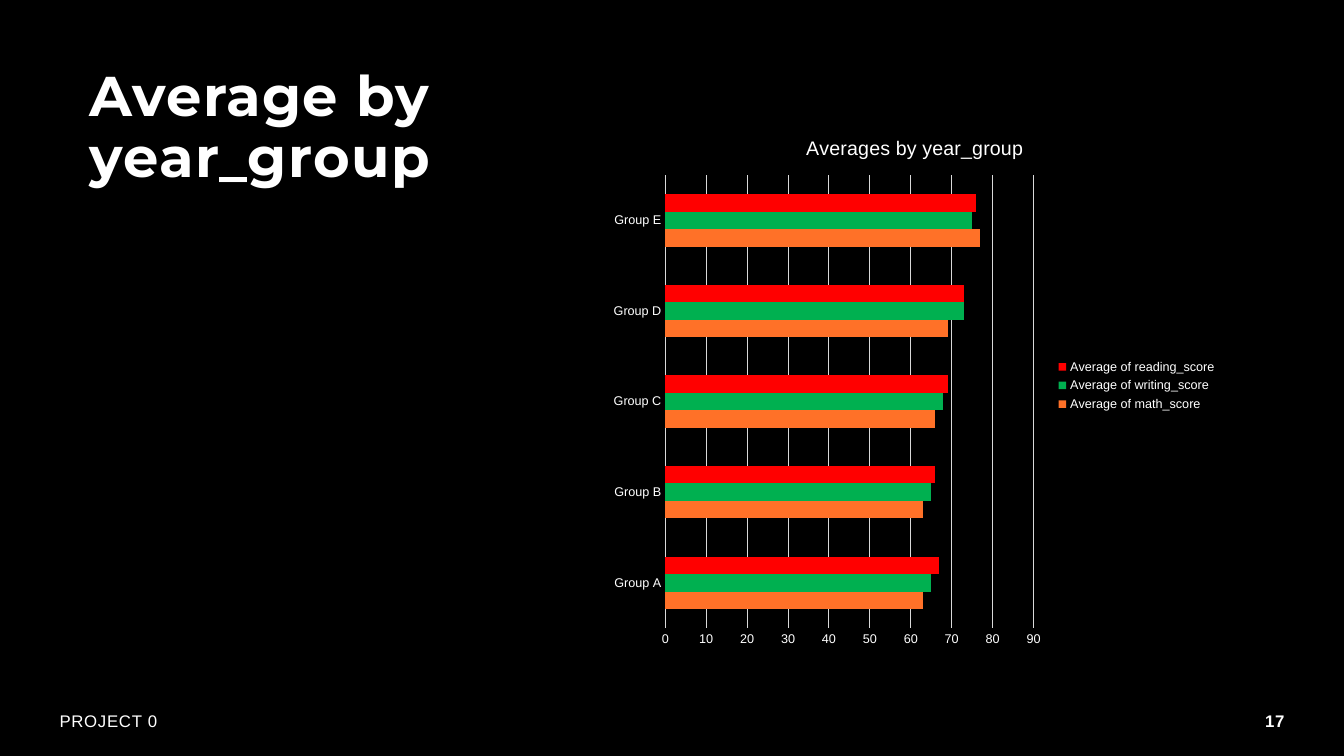
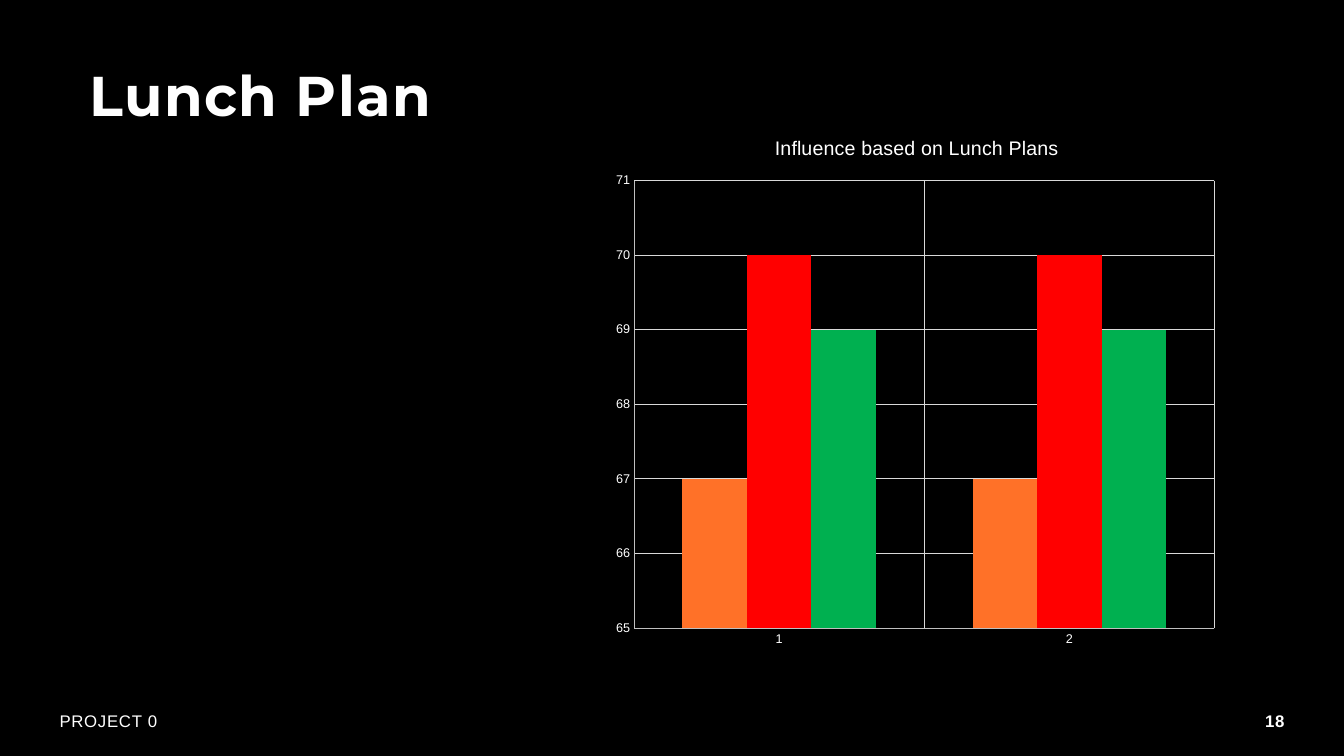
"""Build two dark slides, each with a title, a score chart and a footer."""
from dataclasses import dataclass

from pptx import Presentation
from pptx.chart.data import CategoryChartData
from pptx.dml.color import RGBColor
from pptx.enum.chart import XL_CHART_TYPE, XL_LEGEND_POSITION, XL_TICK_MARK
from pptx.enum.text import MSO_ANCHOR, MSO_AUTO_SIZE, PP_ALIGN
from pptx.oxml import parse_xml
from pptx.oxml.ns import nsdecls
from pptx.util import Inches, Pt

BLACK = RGBColor(0x00, 0x00, 0x00)
WHITE = RGBColor(0xFF, 0xFF, 0xFF)
ORANGE = RGBColor(0xFF, 0x71, 0x28)
GREEN = RGBColor(0x00, 0xB0, 0x50)
RED = RGBColor(0xFF, 0x00, 0x00)
GRID = RGBColor(0xD9, 0xD9, 0xD9)
AXIS = RGBColor(0xBF, 0xBF, 0xBF)

BAR, COLUMN = XL_CHART_TYPE.BAR_CLUSTERED, XL_CHART_TYPE.COLUMN_CLUSTERED
LEGEND_RIGHT = XL_LEGEND_POSITION.RIGHT
NO_TICK = XL_TICK_MARK.NONE
TOP, MIDDLE = MSO_ANCHOR.TOP, MSO_ANCHOR.MIDDLE
NO_FIT = MSO_AUTO_SIZE.NONE
LEFT, RIGHT = PP_ALIGN.LEFT, PP_ALIGN.RIGHT

FRAME = {"margin_left": 0, "margin_top": 0, "margin_right": 0,
         "margin_bottom": 0, "word_wrap": True, "auto_size": NO_FIT}
TITLE_FONT = {"name": "Montserrat", "size": Pt(40), "bold": True}
FOOTER_FONT = {"name": "Arial", "size": Pt(12), "bold": False}
NUMBER_FONT = {**FOOTER_FONT, "bold": True}
CHART_TITLE_FONT = {"name": "Arial", "size": Pt(14), "bold": False}
LABEL_FONT = {"name": "Arial", "size": Pt(9), "bold": False}


@dataclass(frozen=True)
class Series:
    """One coloured row of chart values."""
    name: str
    color: RGBColor
    values: tuple


@dataclass(frozen=True)
class ChartSpec:
    """What sets one chart apart; places are fractions of the chart."""
    kind: XL_CHART_TYPE
    title: str
    title_at: tuple
    plot_at: tuple
    categories: tuple
    series: tuple
    scale: tuple
    gap: int
    category_line: RGBColor
    value_line: RGBColor | None
    category_grid: bool
    legend: bool


@dataclass(frozen=True)
class Page:
    """One slide."""
    title: str
    number: int
    chart: ChartSpec


PAGES = (
    Page("Average by year_group", 17, ChartSpec(
        kind=BAR, title="Averages by year_group",
        title_at=(0.32, 0.03), plot_at=(0.1, 0.11, 0.59, 0.84),
        categories=tuple(f"Group {letter}" for letter in "ABCDE"),
        series=(
            Series("Average of math_score", ORANGE, (63, 63, 66, 69, 77)),
            Series("Average of writing_score", GREEN, (65, 65, 68, 73, 75)),
            Series("Average of reading_score", RED, (67, 66, 69, 73, 76))),
        scale=(0, 90, 10), gap=219, category_line=GRID, value_line=None,
        category_grid=False, legend=True)),
    Page("Lunch Plan", 18, ChartSpec(
        kind=COLUMN, title="Influence based on Lunch Plans",
        title_at=(0.27, 0.03), plot_at=(0.05, 0.12, 0.93, 0.83),
        categories=("1", "2"),
        series=(
            Series("Series 1", ORANGE, (67, 67)),
            Series("Series 2", RED, (70, 70)),
            Series("Series 3", GREEN, (69, 69))),
        scale=(65, 71, 1), gap=150, category_line=AXIS, value_line=AXIS,
        category_grid=True, legend=False)),
)


def apply(target, values: dict) -> None:
    """Set each named attribute on the target."""
    for name, value in values.items():
        setattr(target, name, value)


def style_font(font, values: dict) -> None:
    """Give a font its format and the shared text colour."""
    apply(font, values)
    font.color.rgb = WHITE


def write(sp, text: str, font: dict, spacing: int, anchor: MSO_ANCHOR,
          align: PP_ALIGN, line_spacing: float = 1.0) -> None:
    """Fill a shape with one run, letter spacing in hundredths of a point."""
    tf = sp.text_frame
    apply(tf, {**FRAME, "vertical_anchor": anchor})
    p = tf.paragraphs[0]
    apply(p, {"alignment": align, "line_spacing": line_spacing})
    r = p.add_run()
    r.text = text
    style_font(r.font, font)
    r.font._element.set("spc", str(spacing))


def add_footer(s, left: float, width: float, text: str, font: dict,
               align: PP_ALIGN) -> None:
    """Add one footer text."""
    sp = s.shapes.add_textbox(Inches(left), Inches(6.95), Inches(width), Inches(0.4))
    write(sp, text, font, 50, MIDDLE, align)


def place(element, index: int, fractions: tuple, inner: bool = False) -> None:
    """Give a chart part a manual layout."""
    for old in element.xpath("c:layout"):
        element.remove(old)
    keys = ("x", "y", "w", "h")[:len(fractions)]
    target = '<c:layoutTarget val="inner"/>' if inner else ""
    modes = "".join(f'<c:{k}Mode val="edge"/>' for k in "xy")
    sizes = "".join(f'<c:{k} val="{v}"/>' for k, v in zip(keys, fractions))
    element.insert(index, parse_xml(
        f'<c:layout {nsdecls("c")}><c:manualLayout>{target}{modes}{sizes}'
        "</c:manualLayout></c:layout>"))


def style_line(line, color: RGBColor | None) -> None:
    """Draw a thin line, or none without a colour."""
    if color is None:
        line.fill.background()
        return
    line.color.rgb = color
    line.width = Pt(0.75)


def style_axis(axis, color: RGBColor | None, grid: bool) -> None:
    """Format an axis, its labels and its gridlines."""
    apply(axis, {"major_tick_mark": NO_TICK, "minor_tick_mark": NO_TICK,
                 "has_major_gridlines": grid})
    style_font(axis.tick_labels.font, LABEL_FONT)
    style_line(axis.format.line, color)
    if grid:
        style_line(axis.major_gridlines.format.line, GRID)


def add_score_chart(s, spec: ChartSpec) -> None:
    """Add a clustered chart."""
    data = CategoryChartData(number_format="0")
    data.categories = spec.categories
    for row in spec.series:
        data.add_series(row.name, row.values)
    chart = s.shapes.add_chart(spec.kind, Inches(5.98), Inches(1.15),
                               Inches(6.19), Inches(5.35), data).chart
    apply(chart.font, {"name": "Arial", "size": Pt(10)})

    chart.has_title = True
    p = chart.chart_title.text_frame.paragraphs[0]
    r = p.add_run()
    r.text = spec.title
    style_font(r.font, CHART_TITLE_FONT)
    place(chart.element.xpath("c:chart/c:title")[0], 1, spec.title_at)
    place(chart.element.xpath("c:chart/c:plotArea")[0], 0, spec.plot_at, inner=True)

    plot = chart.plots[0]
    apply(plot, {"gap_width": spec.gap, "vary_by_categories": False})
    for series, row in zip(plot.series, spec.series):
        series.format.fill.solid()
        series.format.fill.fore_color.rgb = row.color

    style_axis(chart.category_axis, spec.category_line, spec.category_grid)
    style_axis(chart.value_axis, spec.value_line, True)
    low, high, step = spec.scale
    apply(chart.value_axis, {"minimum_scale": low, "maximum_scale": high,
                             "major_unit": step})
    apply(chart.value_axis.tick_labels, {"number_format": "0",
                                         "number_format_is_linked": False})

    chart.has_legend = spec.legend
    if spec.legend:
        apply(chart.legend, {"position": LEGEND_RIGHT, "include_in_layout": False})
        style_font(chart.legend.font, LABEL_FONT)


def add_page(prs, page: Page) -> None:
    """Add one slide with its title, footer and chart."""
    s = prs.slides.add_slide(prs.slide_layouts[5])
    title = s.shapes.title
    apply(title, {"left": Inches(0.89), "top": Inches(0.68),
                  "width": Inches(4.85), "height": Inches(1.85)})
    write(title, page.title, TITLE_FONT, 100, TOP, LEFT, 0.9)
    add_footer(s, 0.59, 4.82, "PROJECT 0", FOOTER_FONT, LEFT)
    add_footer(s, 9.74, 3, str(page.number), NUMBER_FONT, RIGHT)
    add_score_chart(s, page.chart)


def main() -> None:
    """Build and save the presentation."""
    prs = Presentation()
    apply(prs, {"slide_width": Inches(13.33), "slide_height": Inches(7.5)})
    fill = prs.slide_master.background.fill
    fill.solid()
    fill.fore_color.rgb = BLACK
    for page in PAGES:
        add_page(prs, page)
    prs.save("out.pptx")


if __name__ == "__main__":
    main()
